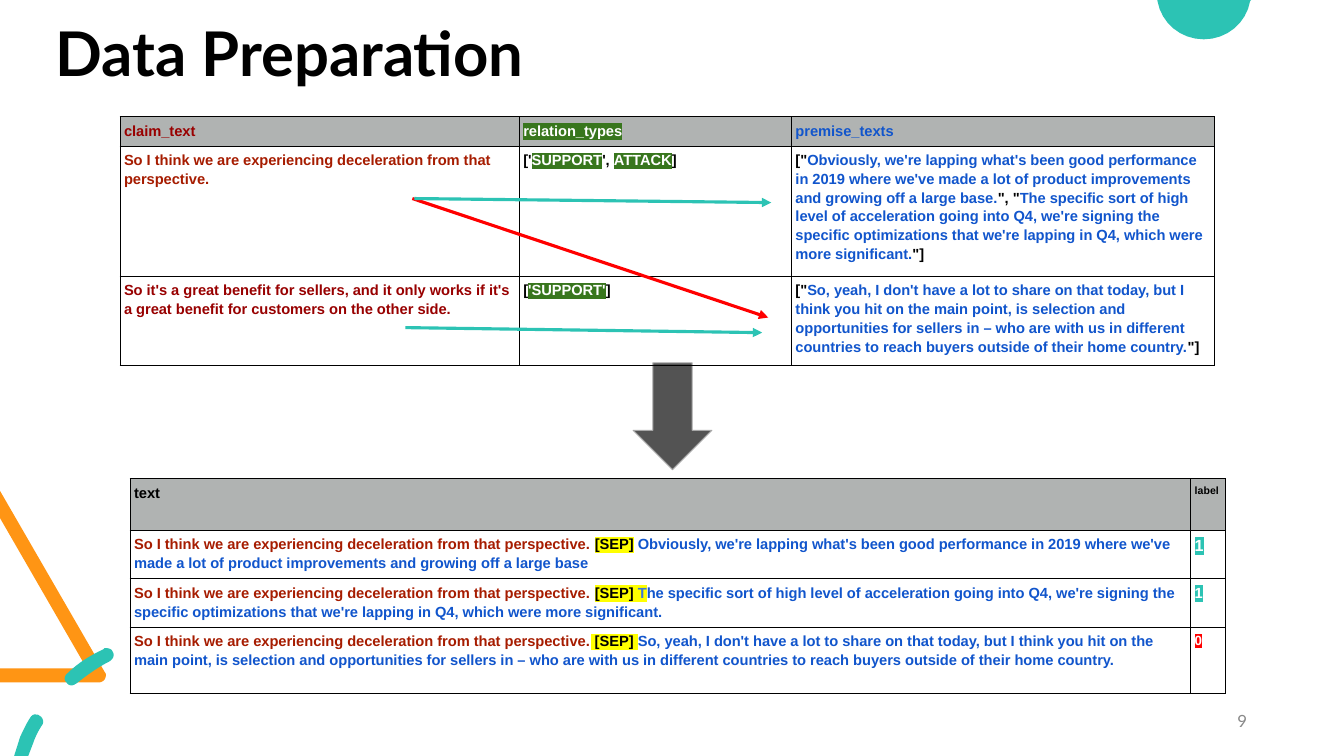
"""Build the Data Preparation slide: two tables, relation arrows and corner decorations."""
import lxml.etree
import pptx
import pptx.dml.color
import pptx.enum.shapes
import pptx.enum.text
import pptx.oxml
import pptx.oxml.ns
import pptx.util

PX = 9144
COLORS = {
    "black": "000000", "white": "FFFFFF", "teal": "2CC3B4", "orange": "FF9514",
    "red": "FF0000", "header": "B0B3B2", "claim": "A61C00", "claim_head": "990000",
    "claim_two": "980000", "premise": "1155CC", "pale_blue": "3C78D8", "green": "38761D",
    "yellow": "FFFF00", "arrow": "535353", "arrow_edge": "A7A7A7", "number": "888888",
}
CLAIM = "So I think we are experiencing deceleration from that perspective."
GROWTH = ("Obviously, we're lapping what's been good performance in 2019 where we've made "
          "a lot of product improvements and growing off a large base")
SPECIFIC = ("he specific sort of high level of acceleration going into Q4, we're signing the "
            "specific optimizations that we're lapping in Q4, which were more significant.")
SELECTION = ("So, yeah, I don't have a lot to share on that today, but I think you hit on the "
             "main point, is selection and opportunities for sellers in – who are with us in "
             "different countries to reach buyers outside of their home country.")
BENEFIT = ("So it's a great benefit for sellers, and it only works if it's a great benefit "
           "for customers on the other side.")
RELATION_ROWS = [
    [[("claim_text", "claim_head")], [("relation_types", "white", "green")],
     [("premise_texts", "premise")]],
    [[(CLAIM, "claim")],
     [("['", "black"), ("SUPPORT", "white", "green"), ("', ", "black"),
      ("ATTACK", "white", "green"), ("]", "black")],
     [('["', "black"), (GROWTH + ".", "premise"), ('", "', "black"),
      ("T" + SPECIFIC, "premise"), ('"]', "black")]],
    [[(BENEFIT, "claim_two")],
     [("[", "black"), ("'SUPPORT'", "white", "green"), ("]", "black")],
     [('["', "black"), (SELECTION, "premise"), ('"]', "black")]],
]
PAIR_ROWS = [
    [[("text", "black")], [("label", "black")]],
    [[(CLAIM + " ", "claim"), ("[SEP]", "black", "yellow"), (" ", "black"),
      (GROWTH, "premise")], [("1", "white", "teal")]],
    [[(CLAIM + " ", "claim"), ("[SEP] ", "black", "yellow"), ("T", "pale_blue", "yellow"),
      (SPECIFIC, "premise")], [("1", "white", "teal")]],
    [[(CLAIM, "claim"), (" [SEP] ", "black", "yellow"), (SELECTION, "premise")],
     [("0", "white", "red")]],
]
LABEL_SIZES = {(0, 1): 7.5, (1, 1): 11.5, (3, 1): 9.5}
DECORATIONS = [
    ("orange", [(0, 677), (0, 663), (86, 663), (0, 514), (0, 487), (104, 667),
                (105, 668, 105, 669, 105, 670), (105, 674, 102, 677, 98, 677)]),
    ("teal", [(1148, 0), (1241, 0), (1240, 1), (1236, 23, 1217, 39, 1194, 39),
              (1171, 39, 1152, 23, 1148, 1)]),
    ("teal", [(36, 709), (34, 708, 31, 710, 30, 712), (26, 718, 23, 725, 20, 731),
              (14, 750), (28, 750), (33, 737), (35, 731, 38, 725, 42, 719),
              (44, 716, 42, 711, 39, 710), (38, 709, 37, 709, 36, 709)]),
    ("teal", [(105, 643), (104, 643, 103, 643, 103, 644), (90, 650, 77, 658, 67, 668),
              (64, 670, 63, 675, 66, 677), (67, 679, 69, 680, 71, 680),
              (73, 680, 74, 679, 76, 678), (86, 670, 97, 662, 109, 656),
              (112, 654, 114, 650, 112, 647), (111, 644, 108, 643, 105, 643)]),
]
RELATION_ARROWS = [
    ("red", (409, 197, 762, 315)),
    ("teal", (411, 197, 765, 201)),
    ("teal", (402, 325, 756, 330)),
]


def rgb(name):
    """Return the named colour."""
    return pptx.dml.color.RGBColor.from_string(COLORS[name])


def px(*lengths):
    """Turn pixel lengths into EMU."""
    return [pptx.util.Emu(length * PX) for length in lengths]


def element(markup):
    """Parse one drawing element."""
    return pptx.oxml.parse_xml(markup.replace(">", f' {pptx.oxml.ns.nsdecls("a")}>', 1))


def add_run(para, text, color, size, face, bold=False, highlight=None):
    """Add a formatted run to a paragraph."""
    span = para.add_run()
    span.text = text
    span.font.name = face
    span.font.size = pptx.util.Pt(size)
    span.font.bold = bold
    span.font.color.rgb = rgb(color)
    if highlight:
        fill = span.font._element.find(pptx.oxml.ns.qn("a:solidFill"))
        fill.addnext(element(
            f'<a:highlight><a:srgbClr val="{COLORS[highlight]}"/></a:highlight>'))


def set_frame(frame):
    """Give a text frame even margins, middle anchoring and wrapping."""
    frame.margin_left, frame.margin_top, frame.margin_right, frame.margin_bottom = px(5, 5, 5, 5)
    frame.vertical_anchor = pptx.enum.text.MSO_ANCHOR.MIDDLE
    frame.word_wrap = True


def add_title(page, text):
    """Place and fill the title placeholder."""
    title = page.shapes.title
    title.left, title.top, title.width, title.height = px(50, 0, 1066, 112)
    set_frame(title.text_frame)
    para = title.text_frame.paragraphs[0]
    para.alignment = pptx.enum.text.PP_ALIGN.LEFT
    para.line_spacing = 0.9
    add_run(para, text, "black", 44, "Lato", True)


def add_page_number(page, text):
    """Add the page number at the lower right."""
    box = page.shapes.add_textbox(*px(1212, 700, 30, 30))
    set_frame(box.text_frame)
    para = box.text_frame.paragraphs[0]
    para.alignment = pptx.enum.text.PP_ALIGN.RIGHT
    add_run(para, text, "number", 12, "Lato")


def add_decoration(page, color, steps):
    """Draw a filled outline of straight and cubic steps."""
    points = [steps[0]]
    for step in steps[1:]:
        if len(step) == 2:
            points.append(step)
            continue
        corners = [points[-1], step[:2], step[2:4], step[4:]]
        for t in (0.125 * part for part in range(1, 9)):
            weights = [(1 - t) ** 3, 3 * t * (1 - t) ** 2, 3 * t * t * (1 - t), t ** 3]
            points.append(tuple(sum(weight * corner[axis] for weight, corner
                                    in zip(weights, corners)) for axis in (0, 1)))
    points = [(round(x * PX), round(y * PX)) for x, y in points]
    builder = page.shapes.build_freeform(*points[0])
    builder.add_line_segments(points[1:])
    shape = builder.convert_to_shape()
    shape.shadow.inherit = False
    shape.fill.solid()
    shape.fill.fore_color.rgb = rgb(color)
    shape.line.fill.background()


def add_down_arrow(page):
    """Add the block arrow between the tables."""
    arrow = page.shapes.add_shape(
        pptx.enum.shapes.MSO_SHAPE.DOWN_ARROW, *px(628, 360, 78, 106))
    arrow.shadow.inherit = False
    arrow.fill.solid()
    arrow.fill.fore_color.rgb = rgb("arrow")
    arrow.line.color.rgb = rgb("arrow_edge")
    arrow.line.width = pptx.util.Pt(0.75)


def fill_cell(cell, runs, size, fill):
    """Write the runs of a cell and set its fill, margins and borders."""
    cell.margin_left, cell.margin_top, cell.margin_right, cell.margin_bottom = px(4, 4, 4, 4)
    para = cell.text_frame.paragraphs[0]
    para.line_spacing = 1.15
    for text, color, *highlight in runs:
        add_run(para, text, color, size, "Arial", True, *highlight)
    if fill:
        cell.fill.solid()
        cell.fill.fore_color.rgb = rgb(fill)
    else:
        cell.fill.background()
    properties = cell._tc.get_or_add_tcPr()
    for index, side in enumerate("LRTB"):
        properties.insert(index, element(
            f'<a:ln{side} w="9525"><a:solidFill><a:srgbClr val="{COLORS["black"]}"/>'
            f'</a:solidFill></a:ln{side}>'))


def add_grid(page, left, top, widths, heights, rows, sizes, first_fill=None):
    """Add a bordered table with a grey header row."""
    table = page.shapes.add_table(
        len(rows), len(widths), *px(left, top, sum(widths), sum(heights))).table
    for column, width in zip(table.columns, px(*widths)):
        column.width = width
    for row, height in zip(table.rows, px(*heights)):
        row.height = height
    for r, cells in enumerate(rows):
        for c, runs in enumerate(cells):
            fill = "header" if r == 0 else first_fill if c == 0 else None
            fill_cell(table.cell(r, c), runs, sizes.get((r, c), 10.5), fill)


def add_relation_arrow(page, color, ends):
    """Add a straight arrow from a claim to a premise."""
    line = page.shapes.add_connector(pptx.enum.shapes.MSO_CONNECTOR.STRAIGHT, *px(*ends))
    line.line.color.rgb = rgb(color)
    line.line.width = pptx.util.Pt(2.25)
    line.line._get_or_add_ln().append(element('<a:tailEnd type="triangle"></a:tailEnd>'))
    lxml.etree.SubElement(line._element.spPr, pptx.oxml.ns.qn("a:effectLst"))


def main():
    """Build and save the deck."""
    deck = pptx.Presentation()
    deck.slide_width, deck.slide_height = px(1333, 750)
    page = deck.slides.add_slide(deck.slide_layouts[5])
    for color, steps in DECORATIONS:
        add_decoration(page, color, steps)
    add_title(page, "Data Preparation")
    add_page_number(page, "9")
    add_down_arrow(page)
    add_grid(page, 129, 475, [1052, 34], [51, 48, 48, 66], PAIR_ROWS, LABEL_SIZES, "white")
    add_grid(page, 119, 116, [396, 270, 420], [29, 129, 88], RELATION_ROWS, {})
    for color, ends in RELATION_ARROWS:
        add_relation_arrow(page, color, ends)
    deck.save("out.pptx")


if __name__ == "__main__":
    main()
